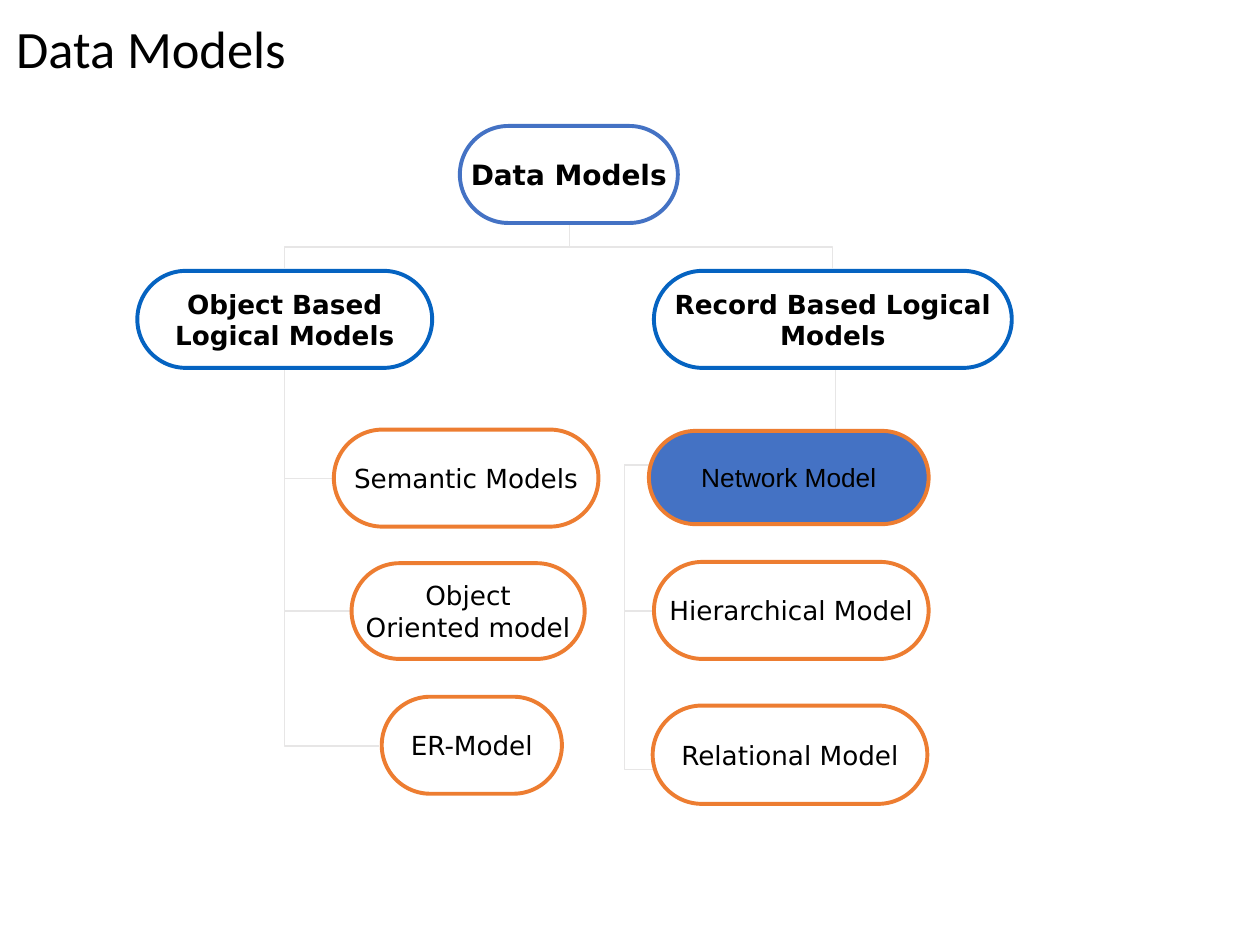
from dataclasses import dataclass

from lxml.etree import SubElement
from pptx import Presentation
from pptx.dml.color import RGBColor
from pptx.enum.shapes import MSO_CONNECTOR, MSO_SHAPE
from pptx.enum.text import MSO_ANCHOR as Anchor, PP_ALIGN as Align
from pptx.oxml.ns import qn
from pptx.util import Inches, Pt


@dataclass(frozen=True)
class Theme:
    ink: str = "000000"
    root: str = "4472C4"
    family: str = "0563C1"
    leaf: str = "ED7D31"
    wire: str = "E7E6E6"
    title_font: str = "Calibri"
    node_font: str = "DejaVu Sans"
    accent_font: str = "Arial"
    title_size: float = 30
    root_size: float = 16
    node_size: float = 15
    outline: float = 2.25
    wire_width: float = 0.75


def apply(target, values):
    for name, value in values.items():
        setattr(target, name, value)


class TreeSlide:
    def __init__(self, deck, theme):
        self.theme = theme
        self.page = deck.slides.add_slide(deck.slide_layouts[6])

    def label(self, box, text, font, size, bold=False, align=Align.LEFT):
        para = box.text_frame.paragraphs[0]
        para.alignment = align
        span = para.add_run()
        span.text = text
        apply(span.font, {"name": font, "size": Pt(size), "bold": bold})
        span.font.color.rgb = RGBColor.from_string(self.theme.ink)
        return para

    def title(self, text, frame):
        box = self.page.shapes.add_textbox(*map(Inches, frame))
        apply(box.text_frame, {"word_wrap": True, "vertical_anchor": Anchor.MIDDLE})
        para = self.label(box, text, self.theme.title_font, self.theme.title_size)
        para.line_spacing = 0.9

    def node(self, text, frame, color, size=None, bold=False, wrap=False,
             fill=None, font=None):
        box = self.page.shapes.add_shape(MSO_SHAPE.ROUNDED_RECTANGLE, *map(Inches, frame))
        box.adjustments[0] = 0.5
        box.shadow.inherit = False
        if fill:
            box.fill.solid()
            box.fill.fore_color.rgb = RGBColor.from_string(fill)
        else:
            box.fill.background()
        box.line.color.rgb = RGBColor.from_string(color)
        box.line.width = Pt(self.theme.outline)
        apply(box.text_frame, {
            "margin_left": 0, "margin_right": 0, "margin_top": 0, "margin_bottom": 0,
            "word_wrap": wrap, "vertical_anchor": Anchor.MIDDLE,
        })
        self.label(box, text, font or self.theme.node_font,
                   size or self.theme.node_size, bold, Align.CENTER)

    def elbow(self, frame, bends, turn, flips="", adjust=()):
        """Draw a bent connector in its unrotated frame, turned clockwise by degrees."""
        left, top, width, height = frame
        wire = self.page.shapes.add_connector(
            MSO_CONNECTOR.ELBOW, Inches(left), Inches(top),
            Inches(left + width), Inches(top + height))
        wire.line.color.rgb = RGBColor.from_string(self.theme.wire)
        wire.line.width = Pt(self.theme.wire_width)
        props = wire._element.spPr
        SubElement(props, qn("a:effectLst"))
        xfrm = props.find(qn("a:xfrm"))
        xfrm.set("rot", str(turn * 60000))
        for flip in flips:
            xfrm.set("flip" + flip, "1")
        shape = props.find(qn("a:prstGeom"))
        shape.set("prst", f"bentConnector{bends + 1}")
        guides = shape.find(qn("a:avLst"))
        for number, share in enumerate(adjust, 1):
            SubElement(guides, qn("a:gd"), name=f"adj{number}",
                       fmla=f"val {round(share * 100000)}")


def main():
    deck = Presentation()
    deck.slide_width, deck.slide_height = Inches(10), Inches(7.5)
    theme = Theme()
    tree = TreeSlide(deck, theme)
    tree.title("Data Models", (0.03, 0.17, 7.31, 0.47))

    # Object family: one trunk, with a branch to the left side of each leaf
    trunk, trunk_top = 2.26, 2.94
    for leaf_left, leaf_middle in ((3.01, 5.92), (2.78, 4.85), (2.64, 3.8)):
        tree.elbow((trunk, trunk_top, leaf_left - trunk, leaf_middle - trunk_top), 1, 180)

    # Record family: down from the parent, across, then down the left of the leaves
    start, start_top, side, rail, across = 6.63, 2.93, 5.19, 4.96, 3.69
    for leaf_middle in (6.11, 4.85):
        width, height = start - side, leaf_middle - start_top
        tree.elbow((side, start_top, width, height), 3, 180, "H",
                   ((rail - side) / width, (leaf_middle - across) / height))

    # Root to both families
    root_x, root_bottom, drop = 4.52, 1.79, 0.34
    for family_x, turn, flips in ((6.61, 270, "V"), (2.26, 90, "HV")):
        reach = abs(family_x - root_x)
        left = (family_x + root_x - drop) / 2
        top = root_bottom + (drop - reach) / 2
        tree.elbow((left, top, drop, reach), 2, turn, flips, (0.5,))

    tree.node("Data Models", (3.65, 1, 1.73, 0.77), theme.root, theme.root_size, bold=True)
    for text, left, width in (("Object Based Logical Models", 1.09, 2.34),
                              ("Record Based Logical Models", 5.19, 2.84)):
        tree.node(text, (left, 2.15, width, 0.77), theme.family, bold=True, wrap=True)

    for text, frame, wrap in (
        ("Semantic Models", (2.65, 3.41, 2.1, 0.77), False),
        ("Object Oriented model", (2.79, 4.47, 1.85, 0.76), True),
        ("ER-Model", (3.03, 5.53, 1.43, 0.77), False),
        ("Hierarchical Model", (5.19, 4.46, 2.18, 0.77), False),
        ("Relational Model", (5.18, 5.6, 2.18, 0.78), False),
    ):
        tree.node(text, frame, theme.leaf, wrap=wrap)
    tree.node("Network Model", (5.15, 3.42, 2.22, 0.74), theme.leaf,
              fill=theme.root, font=theme.accent_font)

    deck.save("out.pptx")


if __name__ == "__main__":
    main()
